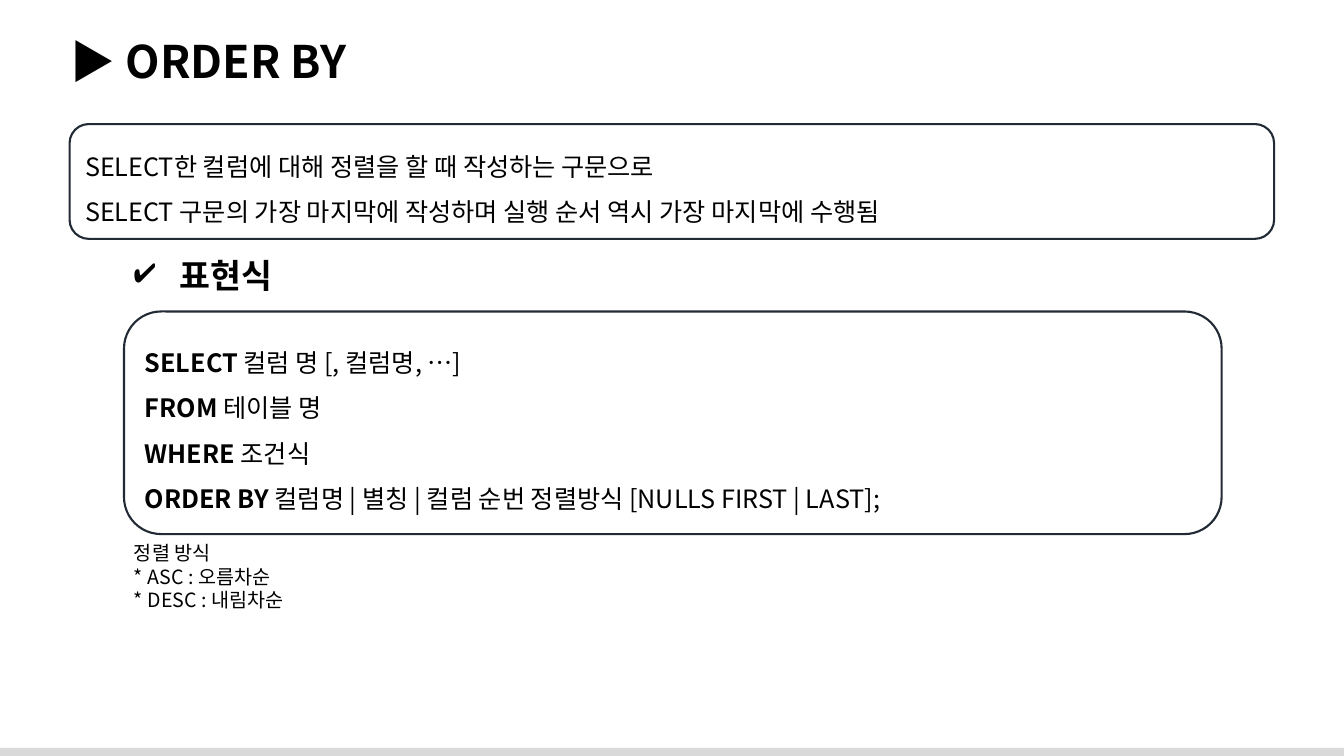
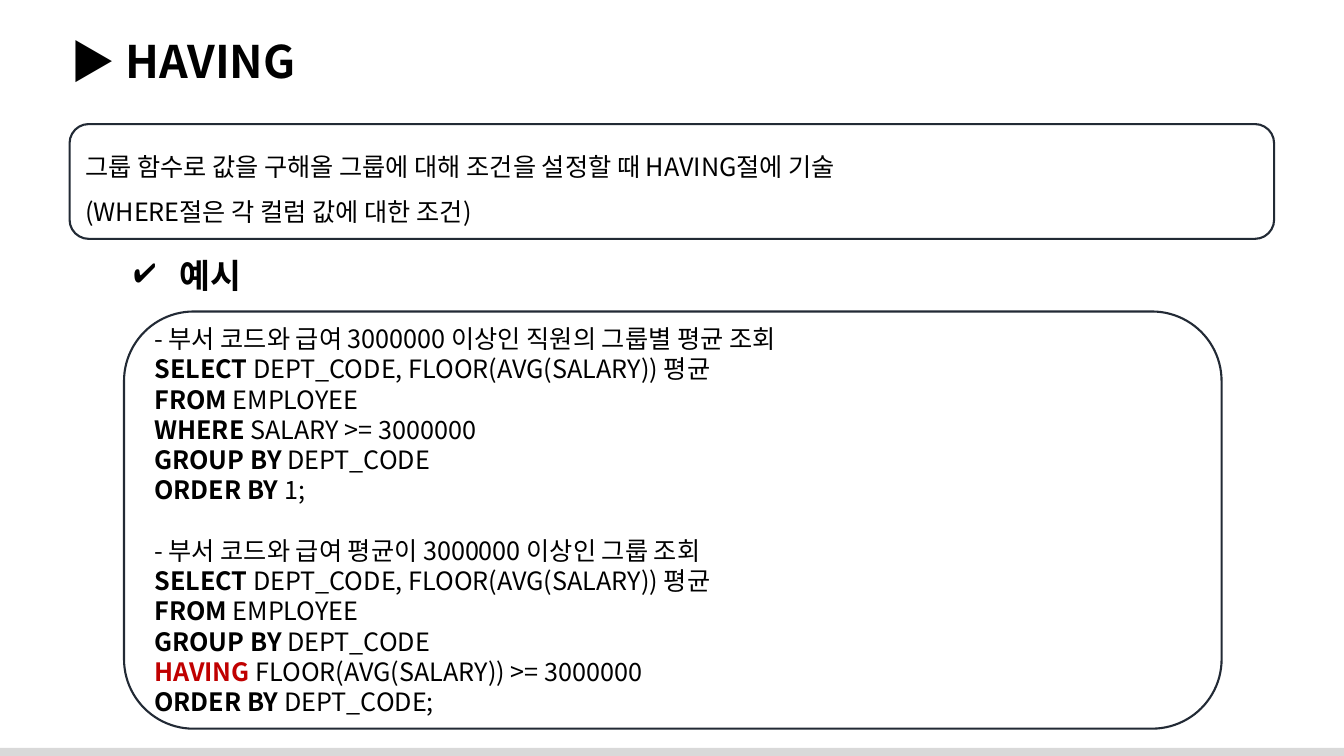
"""Build two slides on the SQL clauses ORDER BY and HAVING."""
from lxml import etree
from pptx import Presentation
from pptx.dml.color import RGBColor
from pptx.enum.shapes import MSO_SHAPE
from pptx.enum.text import MSO_ANCHOR, MSO_AUTO_SIZE, PP_ALIGN
from pptx.oxml.ns import qn
from pptx.util import Pt

RECTANGLE, ROUNDED = MSO_SHAPE.RECTANGLE, MSO_SHAPE.ROUNDED_RECTANGLE
TOP, MIDDLE = MSO_ANCHOR.TOP, MSO_ANCHOR.MIDDLE
LEFT = PP_ALIGN.LEFT
NO_AUTOFIT = MSO_AUTO_SIZE.NONE

FONT = "Noto Sans CJK KR"
COLORS = {"text": "000000", "outline": "222A35", "band": "D9D9D9", "accent": "C00000"}
TITLE_AREA = (43.2, 20.2, 907.2, 46)
INTRO_AREA = (49.7, 88.6, 860.4, 82)
BAND_AREA = (-2, 534.2, 964, 8)
INDENT, HEADING_TOP, CODE_TOP, CODE_WIDTH = 88.6, 178.2, 222.5, 784
BODY_SIZE, GROUP_GAP = 18, 21.6

SLIDES = [
    {
        "title": "▶ ORDER BY",
        "intro": ["SELECT한 컬럼에 대해 정렬을 할 때 작성하는 구문으로",
                  "SELECT 구문의 가장 마지막에 작성하며 실행 순서 역시 가장 마지막에 수행됨"],
        "heading": " 표현식",
        "code": [[("SELECT", " 컬럼 명 [, 컬럼명, …]"),
                  ("FROM", " 테이블 명"),
                  ("WHERE", " 조건식"),
                  ("ORDER BY", " 컬럼명 | 별칭 | 컬럼 순번 정렬방식 [NULLS FIRST | LAST];")]],
        "code_height": 159,
        "line_spacing": 1.5,
        "notes": ["정렬 방식", "* ASC : 오름차순", "* DESC : 내림차순"],
    },
    {
        "title": "▶ HAVING",
        "intro": ["그룹 함수로 값을 구해올 그룹에 대해 조건을 설정할 때 HAVING절에 기술",
                  "(WHERE절은 각 컬럼 값에 대한 조건)"],
        "heading": " 예시",
        "code": [[("", "- 부서 코드와 급여 3000000 이상인 직원의 그룹별 평균 조회"),
                  ("SELECT", " DEPT_CODE, FLOOR(AVG(SALARY)) 평균"),
                  ("FROM", " EMPLOYEE"),
                  ("WHERE", " SALARY >= 3000000"),
                  ("GROUP BY", " DEPT_CODE"),
                  ("ORDER BY", " 1;")],
                 [("", "- 부서 코드와 급여 평균이 3000000 이상인 그룹 조회"),
                  ("SELECT", " DEPT_CODE, FLOOR(AVG(SALARY)) 평균"),
                  ("FROM", " EMPLOYEE"),
                  ("GROUP BY", " DEPT_CODE"),
                  ("HAVING", " FLOOR(AVG(SALARY)) >= 3000000"),
                  ("ORDER BY", " DEPT_CODE;")]],
        "code_height": 298,
        "line_spacing": 1.0,
        "notes": [],
    },
]
ACCENT_KEYWORD = "HAVING"


def color(name):
    return RGBColor.from_string(COLORS[name])


def points(area):
    return [Pt(value) for value in area]


def style(para, size, bold=False, spacing=None):
    para.alignment = LEFT
    if spacing:
        para.line_spacing = spacing
    font = para.font
    font.name, font.size, font.bold = FONT, Pt(size), bold
    font.color.rgb = color("text")
    properties = para._p.pPr.find(qn("a:defRPr"))
    latin = properties.find(qn("a:latin"))
    east_asian = etree.Element(qn("a:ea"), typeface=FONT)
    latin.addnext(east_asian)


def write_lines(frame, lines, size, bold=False, spacing=None):
    frame.word_wrap = True
    for index, line in enumerate(lines):
        para = frame.add_paragraph() if index else frame.paragraphs[0]
        para.add_run().text = line
        style(para, size, bold, spacing)


def write_code(frame, groups, spacing):
    para = frame.paragraphs[0]
    for group_index, group in enumerate(groups):
        for line_index, (keyword, rest) in enumerate(group):
            if group_index or line_index:
                para = frame.add_paragraph()
            if group_index and not line_index:
                para.space_before = Pt(GROUP_GAP)
            if keyword:
                span = para.add_run()
                span.text, span.font.bold = keyword, True
                if keyword == ACCENT_KEYWORD:
                    span.font.color.rgb = color("accent")
            para.add_run().text = rest
            style(para, BODY_SIZE, spacing=spacing)


def add_check_bullet(para):
    properties = para._p.get_or_add_pPr()
    properties.set("marL", str(Pt(27)))
    properties.set("indent", str(-Pt(27)))
    bullet_color = etree.Element(qn("a:buClr"))
    etree.SubElement(bullet_color, qn("a:srgbClr"), val=COLORS["text"])
    bullet = etree.Element(qn("a:buChar"), char="✔")
    properties.find(qn("a:defRPr")).addprevious(bullet_color)
    bullet_color.addnext(bullet)


def add_outline_box(page, area):
    box = page.shapes.add_shape(ROUNDED, *points(area))
    box.shadow.inherit = False
    box.fill.background()
    box.line.color.rgb = color("outline")
    box.line.width = Pt(1.5)
    box.text_frame.vertical_anchor = MIDDLE
    box.text_frame.word_wrap = True
    return box


def add_master_band(deck, page):
    band = page.shapes.add_shape(RECTANGLE, *points(BAND_AREA))
    band.shadow.inherit = False
    band.fill.solid()
    band.fill.fore_color.rgb = color("band")
    band.line.fill.background()
    deck.slide_master.shapes.element.append(band.element)


def add_title(page, text):
    title = page.shapes.title
    title.left, title.top, title.width, title.height = points(TITLE_AREA)
    title.text_frame.vertical_anchor = TOP
    title.text_frame.auto_size = NO_AUTOFIT
    write_lines(title.text_frame, [text], 32, bold=True)


def add_clause_slide(deck, content):
    page = deck.slides.add_slide(deck.slide_layouts[5])
    add_title(page, content["title"])
    intro = add_outline_box(page, INTRO_AREA)
    write_lines(intro.text_frame, content["intro"], BODY_SIZE, spacing=1.5)

    heading = page.shapes.add_textbox(*points((INDENT, HEADING_TOP, 123, 36)))
    write_lines(heading.text_frame, [content["heading"]], 24, bold=True)
    add_check_bullet(heading.text_frame.paragraphs[0])

    height = content["code_height"]
    code = add_outline_box(page, (INDENT, CODE_TOP, CODE_WIDTH, height))
    write_code(code.text_frame, content["code"], content["line_spacing"])

    if content["notes"]:
        notes_top = CODE_TOP + height + 1.5
        notes = page.shapes.add_textbox(*points((INDENT, notes_top, 129, 58)))
        write_lines(notes.text_frame, content["notes"], 14)
    return page


def main():
    deck = Presentation()
    deck.slide_width, deck.slide_height = Pt(960), Pt(540)
    pages = [add_clause_slide(deck, content) for content in SLIDES]
    add_master_band(deck, pages[0])
    deck.save("out.pptx")


if __name__ == "__main__":
    main()
